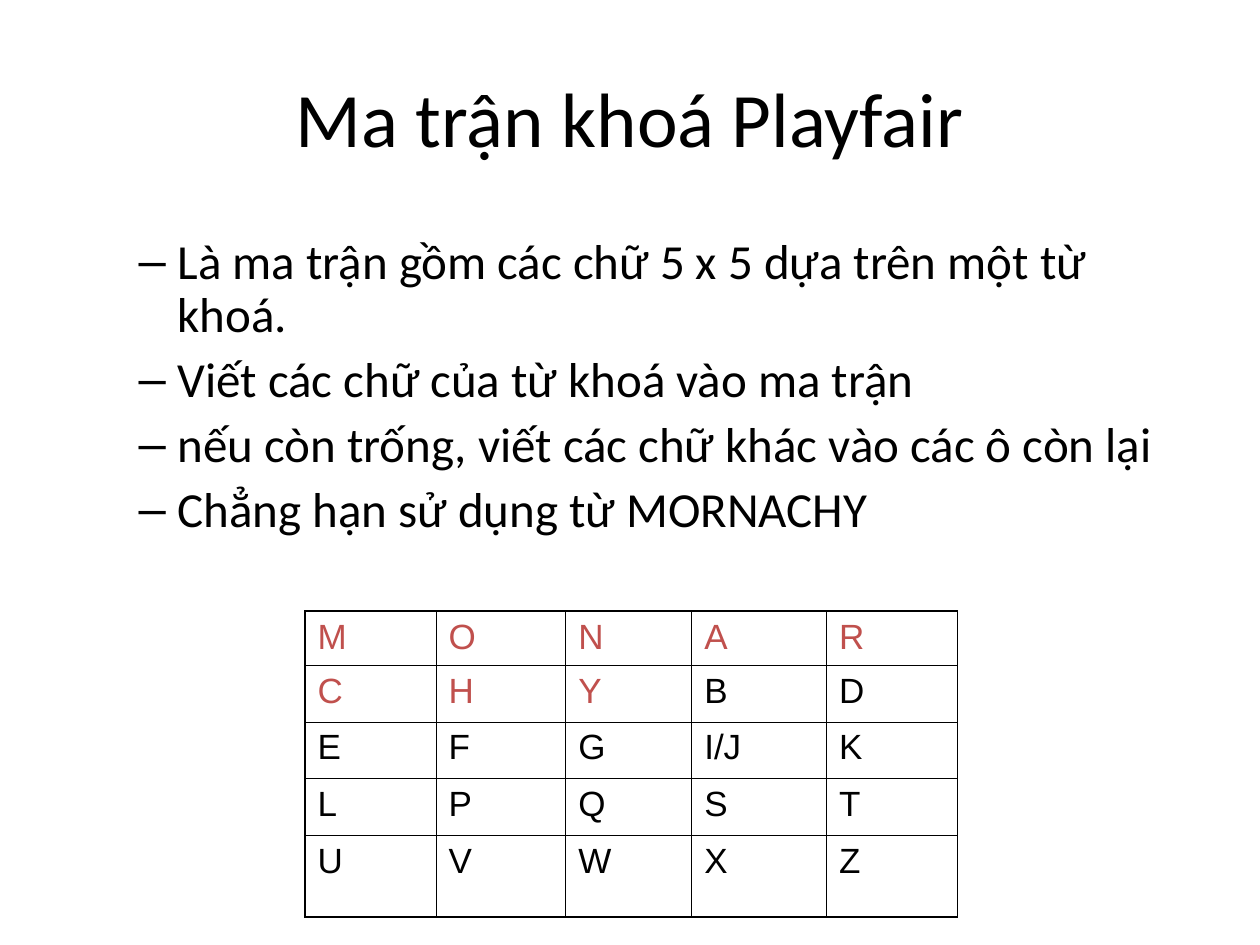
from lxml import etree
from pptx import Presentation
from pptx.dml.color import RGBColor
from pptx.enum.text import MSO_ANCHOR, MSO_AUTO_SIZE, PP_ALIGN
from pptx.oxml.ns import qn
from pptx.util import Inches, Pt

CENTER, LEFT = PP_ALIGN.CENTER, PP_ALIGN.LEFT
MIDDLE, TOP = MSO_ANCHOR.MIDDLE, MSO_ANCHOR.TOP
NO_AUTOFIT = MSO_AUTO_SIZE.NONE
BLACK = RGBColor(0x00, 0x00, 0x00)
RED = RGBColor(0xC0, 0x50, 0x4D)

TITLE = "Ma trận khoá Playfair"
POINTS = [
    "Là ma trận gồm các chữ 5 x 5 dựa trên một từ khoá.",
    "Viết các chữ của từ khoá vào ma trận",
    "nếu còn trống, viết các chữ khác vào các ô còn lại",
    "Chẳng hạn sử dụng từ MORNACHY",
]
KEY_MATRIX = [
    ["M", "O", "N", "A", "R"],
    ["C", "H", "Y", "B", "D"],
    ["E", "F", "G", "I/J", "K"],
    ["L", "P", "Q", "S", "T"],
    ["U", "V", "W", "X", "Z"],
]
KEY_LETTERS = set("MONARCHY")
COL_WIDTHS = [1.04, 1.03, 1, 1.07, 1.04]
ROW_HEIGHTS = [0.43, 0.45, 0.45, 0.45, 0.65]
INNER_LINE, OUTER_LINE = 0.45, 1.08


def write(p, text, *, size, font="Calibri", color=BLACK, align=LEFT, before=0, spacing=1.0):
    p.alignment = align
    p.space_before = Pt(before)
    p.line_spacing = spacing
    r = p.add_run()
    r.text = text
    r.font.size, r.font.name = Pt(size), font
    r.font.color.rgb = color


def place(sp, left, top, width, height, anchor):
    sp.left, sp.top = Inches(left), Inches(top)
    sp.width, sp.height = Inches(width), Inches(height)
    tf = sp.text_frame
    tf.word_wrap = True
    tf.auto_size = NO_AUTOFIT
    tf.vertical_anchor = anchor
    return tf


def set_dash_bullet(p, margin, indent):
    pPr = p._p.get_or_add_pPr()
    pPr.set("marL", str(Inches(margin)))
    pPr.set("indent", str(Inches(indent)))
    etree.SubElement(pPr, qn("a:buChar"), char="–")


def set_borders(cell, widths):
    """Draw black cell borders; widths maps L, R, T, B (in that order) to points."""
    tcPr = cell._tc.get_or_add_tcPr()
    for side, width in widths.items():
        ln = etree.SubElement(tcPr, qn(f"a:ln{side}"), w=str(Pt(width)))
        fill = etree.SubElement(ln, qn("a:solidFill"))
        etree.SubElement(fill, qn("a:srgbClr"), val=str(BLACK))


def add_key_matrix(slide, left, top):
    n_rows, n_cols = len(ROW_HEIGHTS), len(COL_WIDTHS)
    table = slide.shapes.add_table(
        n_rows, n_cols, Inches(left), Inches(top),
        Inches(sum(COL_WIDTHS)), Inches(sum(ROW_HEIGHTS))).table
    table.first_row = table.horz_banding = False
    for col, width in zip(table.columns, COL_WIDTHS):
        col.width = Inches(width)
    for row, height in zip(table.rows, ROW_HEIGHTS):
        row.height = Inches(height)
    for i, letters in enumerate(KEY_MATRIX):
        for j, letter in enumerate(letters):
            cell = table.cell(i, j)
            write(cell.text_frame.paragraphs[0], letter, size=20, font="Arial",
                  color=RED if letter in KEY_LETTERS else BLACK, before=5)
            on_edge = {"L": j == 0, "R": j == n_cols - 1,
                       "T": i == 0, "B": i == n_rows - 1}
            set_borders(cell, {side: OUTER_LINE if edge else INNER_LINE
                               for side, edge in on_edge.items()})
            cell.fill.background()


def main():
    prs = Presentation()
    prs.slide_width, prs.slide_height = Inches(10), Inches(7.5)
    s = prs.slides.add_slide(prs.slide_layouts[1])
    title, body = s.placeholders

    tf = place(title, 0.5, 0.3, 9, 1.25, MIDDLE)
    write(tf.paragraphs[0], TITLE, size=44, align=CENTER)

    tf = place(body, 0.5, 1.83, 9, 2.92, TOP)
    for i, point in enumerate(POINTS):
        p = tf.add_paragraph() if i else tf.paragraphs[0]
        p.level = 1
        write(p, point, size=28, before=7, spacing=0.9)
        set_dash_bullet(p, 0.81, -0.31)

    add_key_matrix(s, 2.42, 4.85)
    prs.save("out.pptx")


if __name__ == "__main__":
    main()
